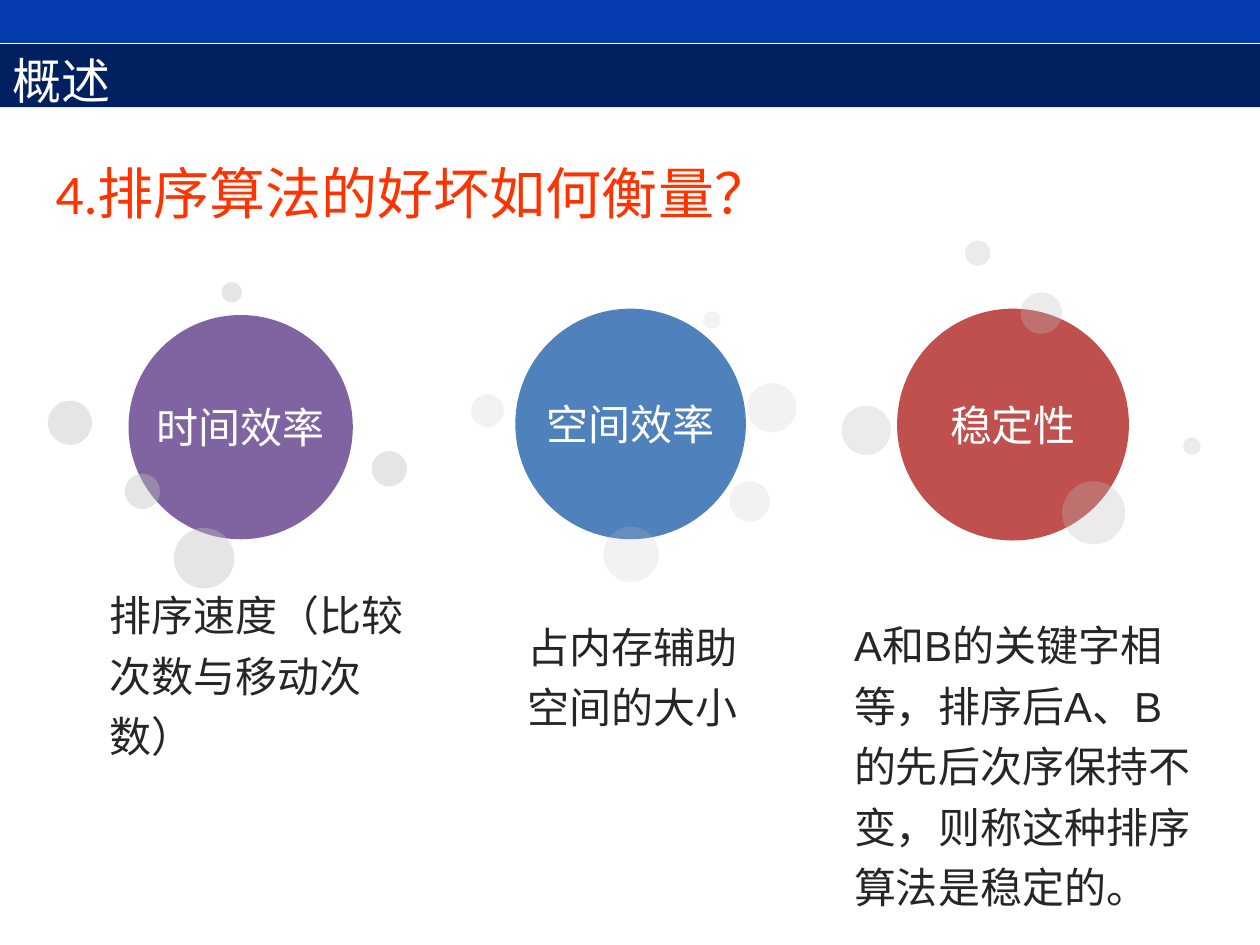
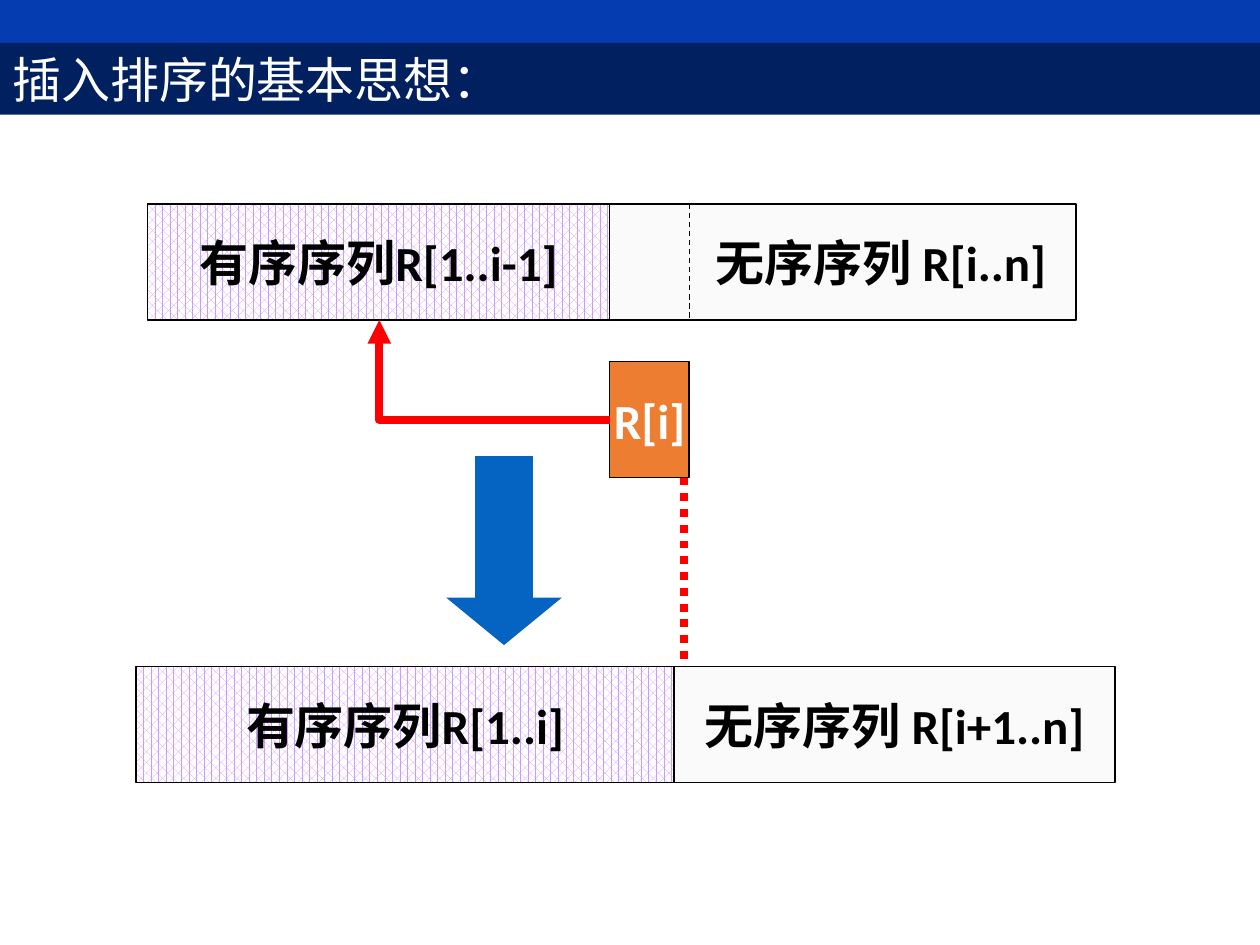
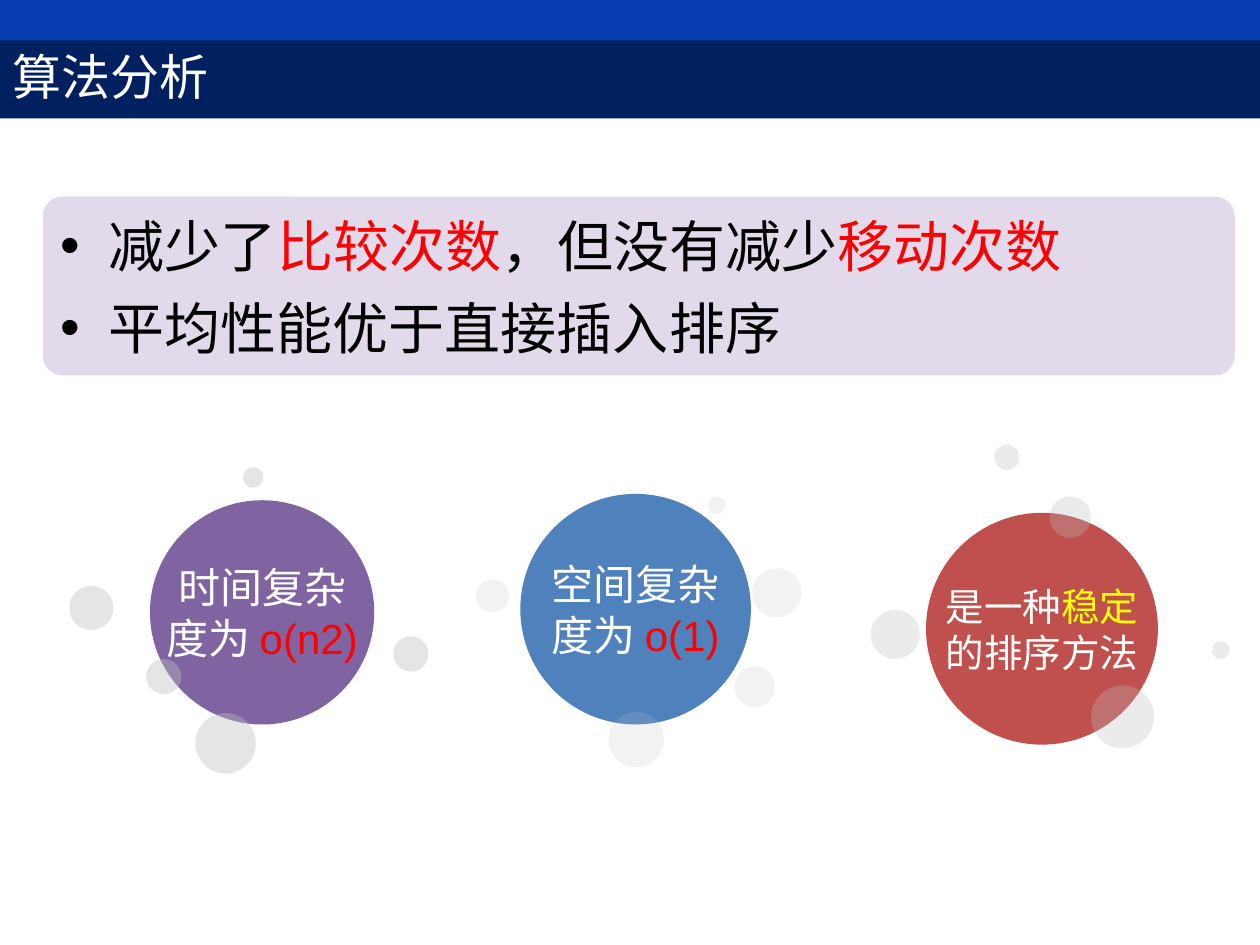
from lxml.etree import SubElement
from pptx import Presentation
from pptx.dml.color import RGBColor
from pptx.enum.dml import MSO_LINE, MSO_PATTERN
from pptx.enum.shapes import MSO_CONNECTOR, MSO_SHAPE
from pptx.enum.text import MSO_ANCHOR, PP_ALIGN
from pptx.oxml.ns import qn
from pptx.util import Inches, Pt

COLORS = {
    "strip": "053CAF", "band": "002060", "white": "FFFFFF", "black": "000000",
    "question": "FF3300", "body": "262626", "red": "FF0000", "yellow": "FFFF00",
    "purple": "8064A2", "blue": "4F81BD", "brick": "C0504D", "satellite": "BFBFBF",
    "summary": "E2D9EB", "sorted": "CC99FF", "unsorted": "FAFAFA",
    "record": "ED7D31", "step": "0563C1",
}

CLUSTERS = {
    "space": dict(color="blue", size=1.83, opacity=20, satellites=[
        (-0.35, 0.68, 0.26), (0.7, 1.73, 0.44), (1.49, 0.02, 0.14),
        (1.7, 1.37, 0.32), (1.84, 0.59, 0.39)]),
    "stability": dict(color="brick", size=1.84, opacity=30, satellites=[
        (-0.44, 0.77, 0.39), (0.54, -0.54, 0.2), (1.31, 1.37, 0.5),
        (2.27, 1.02, 0.14), (0.98, -0.13, 0.33)]),
    "time": dict(color="purple", size=1.78, opacity=40, satellites=[
        (1.93, 1.08, 0.28), (-0.03, 1.26, 0.28), (0.36, 1.69, 0.48),
        (0.74, -0.26, 0.16), (-0.64, 0.68, 0.35)]),
}

ROW_HEIGHT = 0.92


def rgb(name):
    return RGBColor.from_string(COLORS[name])


def write(holder, paragraphs, size=24, font="Arial", color="white", bold=False,
          align=PP_ALIGN.LEFT, anchor=MSO_ANCHOR.TOP, wrap=True, spacing=None,
          gap=0, hanging=0, bullet=None, insets=(0.1, 0.05, 0.1, 0.05)):
    frame = holder.text_frame
    frame.word_wrap = wrap
    frame.vertical_anchor = anchor
    (frame.margin_left, frame.margin_top,
     frame.margin_right, frame.margin_bottom) = map(Inches, insets)
    for index, runs in enumerate(paragraphs):
        paragraph = frame.add_paragraph() if index else frame.paragraphs[0]
        paragraph.alignment = align
        if spacing:
            paragraph.line_spacing = spacing
        if index and gap:
            paragraph.space_before = Pt(gap)
        properties = paragraph._p.get_or_add_pPr()
        if hanging:
            properties.set("marL", str(Inches(hanging)))
            properties.set("indent", str(-Inches(hanging)))
        if bullet:
            SubElement(properties, qn("a:buFont")).set("typeface", "Arial")
            SubElement(properties, qn("a:buChar")).set("char", bullet)
        for words, tint in [(runs, color)] if isinstance(runs, str) else runs:
            run = paragraph.add_run()
            run.text = words
            run.font.size = Pt(size)
            run.font.name = font
            run.font.bold = bold
            run.font.color.rgb = rgb(tint)


def add_block(slide, kind, left, top, width, height, color,
              outline=None, opacity=None, pattern=None):
    block = slide.shapes.add_shape(
        kind, Inches(left), Inches(top), Inches(width), Inches(height))
    block.shadow.inherit = False
    if pattern:
        block.fill.patterned()
        block.fill.pattern = pattern
        block.fill.fore_color.rgb = rgb(color)
        block.fill.back_color.rgb = rgb("white")
    else:
        block.fill.solid()
        block.fill.fore_color.rgb = rgb(color)
    if opacity:
        tint = block.element.spPr.find(".//" + qn("a:srgbClr"))
        SubElement(tint, qn("a:alpha")).set("val", str(opacity * 1000))
    if outline:
        block.line.color.rgb = rgb(outline)
        block.line.width = Pt(0.75)
    else:
        block.line.fill.background()
    return block


def add_line(slide, start, end, color, width, dash=None, kind=MSO_CONNECTOR.STRAIGHT):
    connector = slide.shapes.add_connector(kind, *map(Inches, start + end))
    connector.line.color.rgb = rgb(color)
    connector.line.width = Pt(width)
    if dash:
        connector.line.dash_style = dash
    SubElement(connector.element.spPr, qn("a:effectLst"))
    return connector


def add_insertion_arrow(slide, left, top, right, bottom):
    arrow = add_line(slide, (left, top), (right, bottom), "red", 4.5,
                     kind=MSO_CONNECTOR.ELBOW)
    properties = arrow.element.spPr
    properties.find(qn("a:xfrm")).set("rot", "10800000")
    properties.find(qn("a:prstGeom")).set("prst", "bentConnector2")
    SubElement(properties.find(qn("a:ln")), qn("a:tailEnd")).set("type", "triangle")


def add_titled_slide(deck, title, top, height, font="Times New Roman"):
    slide = deck.slides.add_slide(deck.slide_layouts[6])
    add_block(slide, MSO_SHAPE.RECTANGLE, 0, 0, 10, 0.34, "strip")
    band = add_block(slide, MSO_SHAPE.RECTANGLE, 0, top, 10, height, "band")
    write(band, [title], size=28, font=font)
    return slide


def add_cluster(slide, topic, left, top, paragraphs, size=24):
    cluster = CLUSTERS[topic]
    diameter = cluster["size"]
    circle = add_block(slide, MSO_SHAPE.OVAL, left, top, diameter, diameter,
                       cluster["color"])
    write(circle, paragraphs, size=size, align=PP_ALIGN.CENTER,
          anchor=MSO_ANCHOR.MIDDLE, wrap=False, insets=(0, 0, 0, 0))
    for across, down, width in cluster["satellites"]:
        add_block(slide, MSO_SHAPE.OVAL, left + across, top + down, width, width,
                  "satellite", opacity=cluster["opacity"])


def add_words(slide, left, top, width, height, words, **style):
    box = slide.shapes.add_textbox(
        Inches(left), Inches(top), Inches(width), Inches(height))
    write(box, [words], **style)


def add_cell(slide, left, top, width, words, color, ink="black", pattern=None, lead=0.1):
    cell = add_block(slide, MSO_SHAPE.RECTANGLE, left, top, width, ROW_HEIGHT,
                     color, outline="black", pattern=pattern)
    write(cell, [words], size=28, font="Calibri", color=ink, bold=True,
          align=PP_ALIGN.CENTER, anchor=MSO_ANCHOR.MIDDLE, wrap=False,
          insets=(lead, 0.05, 0.1, 0.05))


def add_sequence(slide, left, top, sorted_width, unsorted_width,
                 sorted_words, unsorted_words, lead=0.1):
    add_cell(slide, left, top, sorted_width, sorted_words, "sorted",
             pattern=MSO_PATTERN.PERCENT_60)
    add_cell(slide, left + sorted_width, top, unsorted_width, unsorted_words,
             "unsorted", lead=lead)


def build_overview(deck):
    slide = add_titled_slide(deck, "概述", 0.35, 0.5)
    add_words(slide, 0.34, 1.08, 8.82, 0.77, "4.排序算法的好坏如何衡量？",
              size=32, font="Calibri", color="question", align=PP_ALIGN.JUSTIFY,
              spacing=1.25, hanging=0.31)
    measures = [
        ("space", 4.09, 2.45, "空间效率", (4.09, 4.79, 1.91, 1.08),
         "占内存辅助空间的大小"),
        ("stability", 7.12, 2.45, "稳定性", (6.68, 4.8, 2.97, 2.48),
         "A和B的关键字相等，排序后A、B的先后次序保持不变，则称这种排序算法是稳定的。"),
        ("time", 1.02, 2.5, "时间效率", (0.77, 4.62, 2.62, 1.4),
         "排序速度（比较次数与移动次数）"),
    ]
    for topic, left, top, label, place, meaning in measures:
        add_cluster(slide, topic, left, top, [label])
        add_words(slide, *place, meaning, color="body", spacing=1.2,
                  anchor=MSO_ANCHOR.MIDDLE)


def build_insertion_idea(deck):
    slide = add_titled_slide(deck, "插入排序的基本思想：", 0.34, 0.57)
    before, after = 1.62, 5.29
    split, record_width, record_top = 4.84, 0.63, 2.87
    before_bottom = before + ROW_HEIGHT
    record_right = split + record_width
    record_bottom = record_top + ROW_HEIGHT
    add_sequence(slide, 1.17, before, 3.67, 3.7,
                 "有序序列R[1..i-1]", "无序序列 R[i..n]", lead=0.7)
    add_cell(slide, split, record_top, record_width, "R[i]", "record", ink="white")
    add_sequence(slide, 1.08, after, 4.27, 3.5, "有序序列R[1..i]", "无序序列 R[i+1..n]")
    add_insertion_arrow(slide, 3.01, before_bottom, split, record_top + ROW_HEIGHT / 2)
    step = add_block(slide, MSO_SHAPE.DOWN_ARROW, 3.54, 3.62, 0.92, 1.5, "step")
    step.adjustments[1] = 0.41
    add_line(slide, (record_right, before), (record_right, before_bottom),
             "black", 0.75, MSO_LINE.DASH)
    add_line(slide, (5.43, record_bottom), (5.43, after), "red", 4.5,
             MSO_LINE.ROUND_DOT)


def build_analysis(deck):
    slide = add_titled_slide(deck, "算法分析", 0.32, 0.62, font="Calibri")
    summary = add_block(slide, MSO_SHAPE.ROUNDED_RECTANGLE, 0.34, 1.56, 9.46, 1.42,
                        "summary")
    summary.adjustments[0] = 0.11
    write(summary, [
        [("减少了", "black"), ("比较次数", "red"),
         ("，但没有减少", "black"), ("移动次数", "red")],
        "平均性能优于直接插入排序",
    ], size=32, font="Calibri", color="black", spacing=1.05, gap=6.4,
        hanging=0.38, bullet="•")
    add_cluster(slide, "space", 4.13, 3.92,
                ["空间复杂", [("度为 ", "white"), ("o(1)", "red")]])
    add_cluster(slide, "stability", 7.35, 4.07,
                [[("是一种", "white"), ("稳定", "yellow")], "的排序方法"], size=22)
    add_cluster(slide, "time", 1.19, 3.97,
                ["时间复杂", [("度为 ", "white"), ("o(n2)", "red")]])


def main():
    deck = Presentation()
    deck.slide_width, deck.slide_height = Inches(10), Inches(7.5)
    build_overview(deck)
    build_insertion_idea(deck)
    build_analysis(deck)
    deck.save("out.pptx")


if __name__ == "__main__":
    main()
